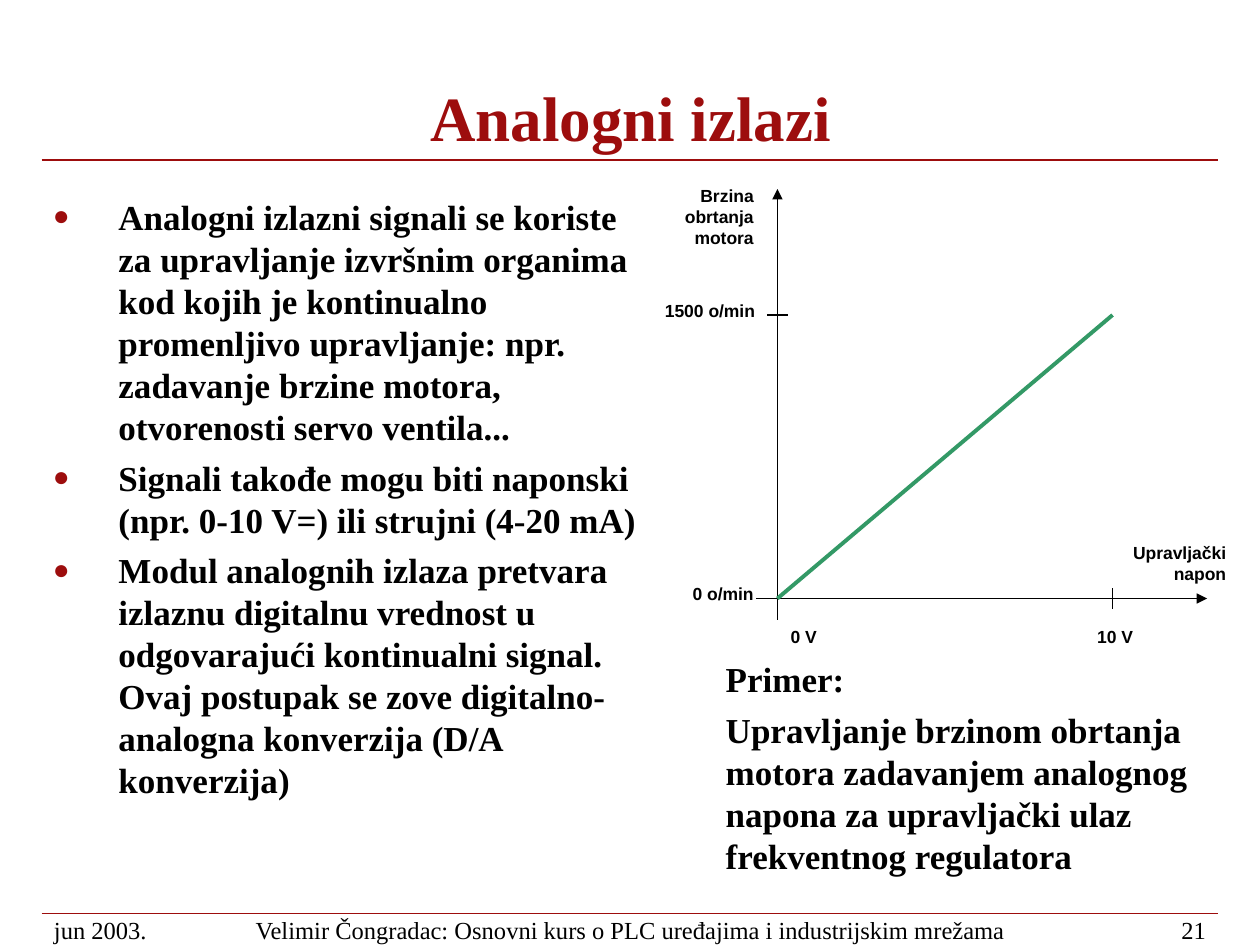
from typing import NamedTuple, Optional

from lxml.etree import SubElement
from pptx import Presentation
from pptx.dml.color import RGBColor
from pptx.enum.shapes import MSO_CONNECTOR as Conn
from pptx.enum.text import MSO_ANCHOR as Anchor, MSO_AUTO_SIZE as Auto, PP_ALIGN as Al
from pptx.oxml.ns import qn
from pptx.util import Inches, Pt

RED, BLACK, GREEN = "9D0D0D", "000000", "339966"
SERIF, SANS = "Times New Roman", "Arial"


class Box(NamedTuple):
    x: float
    y: float
    w: float
    h: float


class Style(NamedTuple):
    size: float
    name: str = SERIF
    bold: bool = True
    color: str = BLACK
    align: Al = Al.LEFT
    anchor: Anchor = Anchor.TOP
    inset: float = 0.1
    gap: float = 0
    leading: Optional[float] = None


class Line(NamedTuple):
    x1: float
    y1: float
    x2: float
    y2: float
    color: str = BLACK
    width: float = 1
    arrow: bool = False


class Label(NamedTuple):
    text: str
    box: Box
    style: Style


def rgb(value: str) -> RGBColor:
    return RGBColor.from_string(value)


def set_attrs(obj, values: dict) -> None:
    for key, value in values.items():
        setattr(obj, key, value)


def place(sp, box: Box) -> None:
    set_attrs(sp, dict(zip(("left", "top", "width", "height"), map(Inches, box))))


def add_bullet(p, indent: float) -> None:
    pPr = p._p.get_or_add_pPr()
    pPr.set("marL", str(Inches(indent)))
    pPr.set("indent", str(-Inches(indent)))
    SubElement(SubElement(pPr, qn("a:buClr")), qn("a:srgbClr")).set("val", RED)
    SubElement(pPr, qn("a:buSzPct")).set("val", "80000")
    SubElement(pPr, qn("a:buFont")).set("typeface", SERIF)
    SubElement(pPr, qn("a:buChar")).set("char", "●")


def write(sp, paragraphs: list[str], st: Style, bullets: bool = False) -> None:
    tf = sp.text_frame
    set_attrs(tf, {
        "word_wrap": True, "auto_size": Auto.NONE, "vertical_anchor": st.anchor,
        "margin_left": Inches(st.inset), "margin_right": Inches(st.inset),
        "margin_top": Inches(0.05), "margin_bottom": Inches(0.05),
    })
    for i, text in enumerate(paragraphs):
        p = tf.add_paragraph() if i else tf.paragraphs[0]
        set_attrs(p, {"alignment": st.align, "line_spacing": st.leading,
                      "space_before": Pt(st.gap if i else 0)})
        if bullets:
            add_bullet(p, 0.52)
        r = p.add_run()
        r.text = text
        set_attrs(r.font, {"size": Pt(st.size), "name": st.name, "bold": st.bold})
        r.font.color.rgb = rgb(st.color)


def add_text(s, paragraphs: list[str], box: Box, st: Style) -> None:
    write(s.shapes.add_textbox(*map(Inches, box)), paragraphs, st)


def add_line(s, line: Line) -> None:
    ends = map(Inches, (line.x1, line.y1, line.x2, line.y2))
    sp = s.shapes.add_connector(Conn.STRAIGHT, *ends)
    sp.line.color.rgb = rgb(line.color)
    sp.line.width = Pt(line.width)
    if line.arrow:
        SubElement(sp.line._get_or_add_ln(), qn("a:tailEnd")).set("type", "triangle")
    SubElement(sp._element.spPr, qn("a:effectLst"))


TITLE = Style(36, color=RED, align=Al.CENTER, anchor=Anchor.BOTTOM, inset=0.09, leading=0.8)
BODY = Style(20, inset=0.09, gap=5)
FOOTER = Style(14, bold=False, anchor=Anchor.MIDDLE)
TICK = Style(10, SANS, align=Al.RIGHT)

BULLETS = [
    "Analogni izlazni signali se koriste za upravljanje izvršnim organima kod kojih je "
    "kontinualno promenljivo upravljanje: npr. zadavanje brzine motora, otvorenosti "
    "servo ventila...",
    "Signali takođe mogu biti naponski (npr. 0-10 V=) ili strujni (4-20 mA)",
    "Modul analognih izlaza pretvara izlaznu digitalnu vrednost u odgovarajući "
    "kontinualni signal. Ovaj postupak se zove digitalno- analogna konverzija "
    "(D/A konverzija)",
]
EXAMPLE = [
    "Primer:",
    "Upravljanje brzinom obrtanja motora zadavanjem analognog napona za upravljački "
    "ulaz frekventnog regulatora",
]

X0, Y0 = 6.17, 4.75
X_MAX, Y_MAX = 8.83, 2.5
TICK_HALF = 0.08

LINES = [
    Line(0.33, 7.25, 9.67, 7.25, RED),
    Line(0.33, 1.27, 9.67, 1.27, RED),
    Line(6, Y0, 9.58, Y0, arrow=True),
    Line(X0, 4.92, X0, 1.5, arrow=True),
    Line(X0, Y0, X_MAX, Y_MAX, GREEN, 2.25),
    Line(X_MAX, Y0 - TICK_HALF, X_MAX, Y0 + TICK_HALF),
    Line(X0 + TICK_HALF, Y_MAX, X0 - TICK_HALF, Y_MAX),
]
LABELS = [
    Label("jun 2003.", Box(0.33, 7.25, 1.08, 0.25), FOOTER),
    Label("Velimir Čongradac: Osnovni kurs o PLC uređajima i industrijskim mrežama",
          Box(1.42, 7.25, 7.17, 0.25), FOOTER._replace(align=Al.CENTER)),
    Label("21", Box(8.67, 7.25, 1, 0.25), FOOTER._replace(align=Al.RIGHT)),
    Label("0 o/min", Box(5.33, 4.58, 0.75, 0.27), TICK),
    Label("1500 o/min", Box(5.17, 2.33, 0.92, 0.27), TICK),
    Label("0 V", Box(5.83, 4.92, 0.75, 0.27), TICK),
    Label("10 V", Box(8.17, 4.92, 0.92, 0.27), TICK),
    Label("Upravljački napon", Box(8.83, 4.25, 1, 0.44), TICK),
    Label("Brzina obrtanja motora", Box(5.33, 1.42, 0.75, 0.6), TICK),
]


def main() -> None:
    prs = Presentation()
    prs.slide_width, prs.slide_height = Inches(10), Inches(7.5)
    s = prs.slides.add_slide(prs.slide_layouts[1])
    title, body = s.shapes.title, s.placeholders[1]
    place(title, Box(1.27, 0.46, 7.47, 0.81))
    write(title, ["Analogni izlazi"], TITLE)
    place(body, Box(0.33, 1.5, 4.83, 5.25))
    write(body, BULLETS, BODY, bullets=True)
    for line in LINES:
        add_line(s, line)
    for label in LABELS:
        add_text(s, [label.text], label.box, label.style)
    add_text(s, EXAMPLE, Box(5.67, 5.17, 4.33, 1.83), BODY)
    prs.save("out.pptx")


if __name__ == "__main__":
    main()
